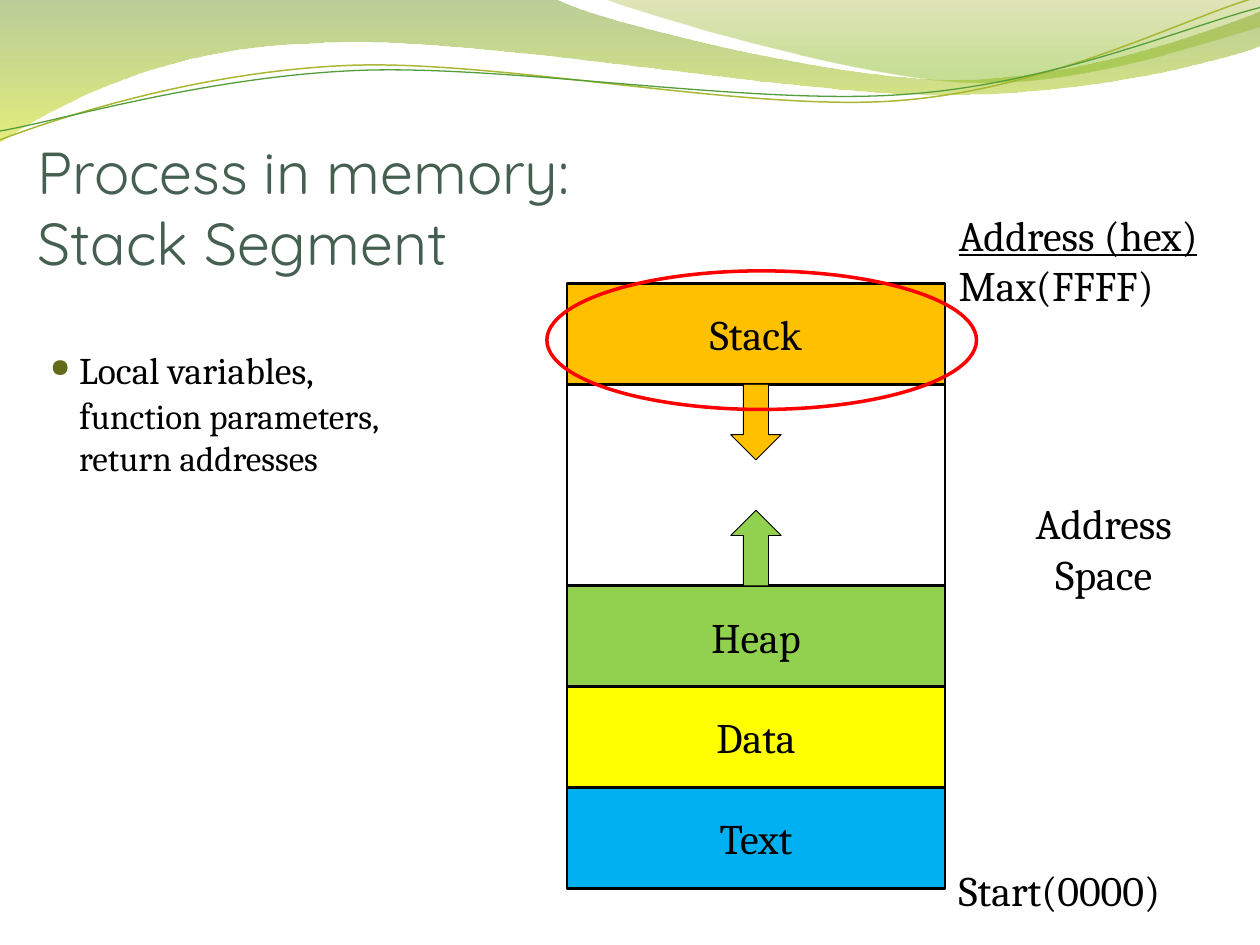
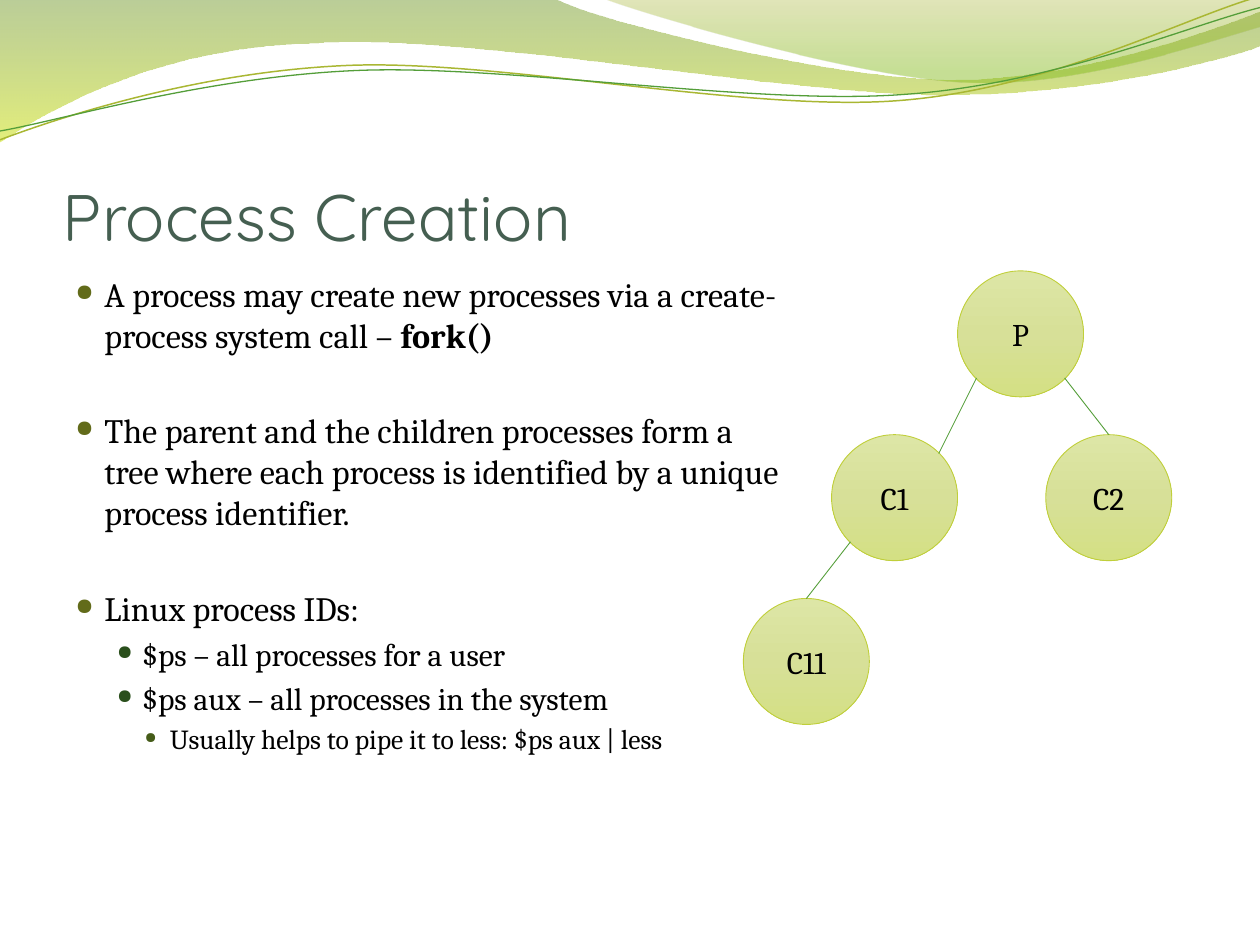
from dataclasses import dataclass, field
from typing import NamedTuple

from lxml import etree
from pptx import Presentation, util as u
from pptx.dml.color import RGBColor
from pptx.enum import shapes, text
from pptx.oxml.ns import qn

COLORS = {
    "title": "455F51", "text": "000000", "ring": "FF0000",
    "stack": "FFC000", "heap": "92D050", "data": "FFFF00", "code": "00B0F0",
    "olive_line": "A9B733", "green_line": "549E39", "node_line": "C0CF3A",
    "wave_top": "69921C", "wave_bottom": "CCE10F",
    "corner_top": "9BAA1A", "corner_bottom": "81BA16",
    "node_top": "DDE6A6", "node_mid": "D7E098", "node_bottom": "D4E084",
    "bullet_0": "626B1A", "bullet_1": "2A4F1C", "bullet_2": "455C19",
}
BODY_FONT, TITLE_FONT = "Cambria", "Quicksand"
MSO = shapes.MSO_SHAPE
CENTER = text.PP_ALIGN.CENTER
MIDDLE = text.MSO_ANCHOR.MIDDLE


class Stop(NamedTuple):
    position: int
    color: str
    opacity: int = 100


class Level(NamedTuple):
    """Bullet style of one outline level."""
    margin: float
    hanging: float
    bullet_size: int


class Box(NamedTuple):
    x: float
    y: float
    w: float
    h: float

    def emu(self) -> list[int]:
        return [u.Inches(v) for v in self]


class Run(NamedTuple):
    text: str
    size: float
    bold: bool = False
    underline: bool = False
    name: str = BODY_FONT
    color: str = "text"


@dataclass
class Para:
    runs: list[Run]
    level: int | None = None
    format: dict = field(default_factory=dict)


@dataclass
class Wave:
    """Start point, then 2-value line ends and 6-value Bézier segments."""
    segments: list[tuple[float, ...]]
    stops: list[Stop] = field(default_factory=list)
    line: str | None = None
    width: float = 0


class Node(NamedTuple):
    label: str
    x: float
    y: float


LEVELS = [Level(0.23, 0.23, 68), Level(0.53, 0.2, 64), Level(0.75, 0.2, 56)]
NODE_FILL = [Stop(0, "node_top"), Stop(50, "node_mid"), Stop(100, "node_bottom")]

WAVES = [
    Wave([(0, 0), (4.4, -0.01), (4.75, 0.17, 6.63, 0.63, 7.58, 0.63),
          (8.53, 0.63, 9.58, 0.26, 10, 0.09), (10.01, 0.36),
          (9.83, 0.44, 8.69, 0.76, 7.46, 0.75),
          (6.22, 0.75, 3.81, 0.28, 2.57, 0.34),
          (1.29, 0.36, 0.46, 0.83, -0.01, 1.13)],
         [Stop(0, "wave_top", 45), Stop(100, "wave_bottom", 55)]),
    Wave([(4.79, -0.01), (5.09, 0.11, 6.82, 0.62, 7.68, 0.65),
          (8.55, 0.69, 9.61, 0.32, 10, 0.21), (10, 0)],
         [Stop(0, "corner_top", 30), Stop(80, "corner_bottom", 45)]),
    Wave([(0, 1.11), (0.48, 0.93, 1.57, 0.57, 2.76, 0.52),
          (3.95, 0.47, 5.92, 0.89, 7.12, 0.8),
          (8.33, 0.71, 9.38, 0.15, 9.97, -0.02)],
         line="olive_line", width=0.85),
    Wave([(0, 1.04), (0.47, 0.96, 1.63, 0.61, 2.83, 0.56),
          (4.02, 0.51, 5.97, 0.84, 7.17, 0.75),
          (8.36, 0.67, 9.41, 0.21, 10, 0.06)],
         line="green_line", width=0.75),
]


def rgb(color: str) -> RGBColor:
    return RGBColor.from_string(COLORS[color])


def set_gradient(sp, stops: list[Stop]) -> None:
    """Fill a shape from top to bottom with the given stops."""
    sp.fill.gradient()
    sp.fill.gradient_angle = 270
    gs_list = sp.element.find(".//" + qn("a:gsLst"))
    gs_list.clear()
    for stop in stops:
        gs = etree.SubElement(gs_list, qn("a:gs"), pos=str(stop.position * 1000))
        clr = etree.SubElement(gs, qn("a:srgbClr"), val=COLORS[stop.color])
        if stop.opacity < 100:
            etree.SubElement(clr, qn("a:alpha"), val=str(stop.opacity * 1000))


def set_style(sp, fill: str | list[Stop] | None, line: str | None,
              width: float = 0) -> None:
    sp.shadow.inherit = False
    if isinstance(fill, str):
        sp.fill.solid()
        sp.fill.fore_color.rgb = rgb(fill)
    elif fill:
        set_gradient(sp, fill)
    else:
        sp.fill.background()
    if line:
        sp.line.color.rgb = rgb(line)
        sp.line.width = u.Pt(width)
    else:
        sp.line.fill.background()


def add_wave(slide, wave: Wave) -> None:
    """Draw all points as line ends, then join each three of a curve into a Bézier."""
    points = [(u.Inches(x), u.Inches(y)) for seg in wave.segments
              for x, y in zip(seg[::2], seg[1::2])]
    builder = slide.shapes.build_freeform(*points[0])
    builder.add_line_segments(points[1:], close=bool(wave.stops))
    sp = builder.convert_to_shape()
    lines = iter(sp.element.findall(".//" + qn("a:lnTo")))
    for seg in wave.segments[1:]:
        first = next(lines)
        if len(seg) == 6:
            first.tag = qn("a:cubicBezTo")
            for _ in range(2):
                extra = next(lines)
                first.append(extra[0])
                extra.getparent().remove(extra)
    set_style(sp, wave.stops, wave.line, wave.width)


def set_bullet(p, level: int) -> None:
    style = LEVELS[level]
    p.level = level
    ppr = p._p.get_or_add_pPr()
    ppr.set("marL", str(u.Inches(style.margin)))
    ppr.set("indent", str(-u.Inches(style.hanging)))
    clr = etree.SubElement(ppr, qn("a:buClr"))
    etree.SubElement(clr, qn("a:srgbClr"), val=COLORS[f"bullet_{level}"])
    etree.SubElement(ppr, qn("a:buSzPct"), val=str(style.bullet_size * 1000))
    etree.SubElement(ppr, qn("a:buChar"), char="●")


def write(tf, paras: list[Para], **frame_format) -> None:
    """Set frame attributes, then fill the frame with paragraphs."""
    for key, value in frame_format.items():
        setattr(tf, key, value)
    for i, para in enumerate(paras):
        p = tf.paragraphs[0] if i == 0 else tf.add_paragraph()
        for key, value in para.format.items():
            setattr(p, key, value)
        if para.level is not None:
            set_bullet(p, para.level)
        for run in para.runs:
            for n, line in enumerate(run.text.split("\n")):
                if n:
                    p.add_line_break()
                r = p.add_run()
                r.text = line
                font = {"name": run.name, "size": u.Pt(run.size),
                        "bold": run.bold, "underline": run.underline}
                for key, value in font.items():
                    setattr(r.font, key, value)
                r.font.color.rgb = rgb(run.color)


def add_text(slide, box: Box, paras: list[Para], **frame_format) -> None:
    tf = slide.shapes.add_textbox(*box.emu()).text_frame
    write(tf, paras, **{"word_wrap": True, **frame_format})


def add_shape(slide, kind, box: Box, fill: str | list[Stop] | None, line: str,
              width: float, label: str = "", size: float = 24) -> None:
    sp = slide.shapes.add_shape(kind, *box.emu())
    set_style(sp, fill, line, width)
    if label:
        write(sp.text_frame, [Para([Run(label, size)], format={"alignment": CENTER})],
              vertical_anchor=MIDDLE, word_wrap=False)


def add_edge(slide, *ends: float) -> None:
    line = slide.shapes.add_connector(shapes.MSO_CONNECTOR.STRAIGHT,
                                      *(u.Inches(v) for v in ends))
    line.line.color.rgb = rgb("green_line")
    line.line.width = u.Pt(0.5)
    etree.SubElement(line.element.spPr, qn("a:effectLst"))


def bullet(level: int, *runs: Run, gap: float = 0) -> Para:
    """Bulleted paragraph, a fifth of its text size below the one before, plus a gap."""
    before = u.Pt(0.2 * runs[0].size + gap)
    return Para(list(runs), level, {"space_before": before})


def new_slide(prs, title: str, x: float, y: float, size: float):
    """Add a slide with the wave header and its title."""
    slide = prs.slides.add_slide(prs.slide_layouts[6])
    for wave in WAVES:
        add_wave(slide, wave)
    run = Run(title, size, name=TITLE_FONT, color="title")
    add_text(slide, Box(x, y, 9, 1.25), [Para([run])],
             vertical_anchor=text.MSO_ANCHOR.BOTTOM, margin_left=0,
             margin_top=u.Inches(0.05), margin_right=0, margin_bottom=0)
    return slide


def build_stack_segment(prs) -> None:
    slide = new_slide(prs, "Process in memory: \nStack Segment", 0.3, 0.95, 33.75)
    add_text(slide, Box(0.3, 2.7, 3, 5.85), [
        bullet(0, Run("Local variables, f", 21.5),
               Run("unction parameters, return addresses", 20))])

    left, top, width, row = 4.5, 2.25, 3, 0.8
    segments = [("Stack", "stack", 1), ("", None, 2), ("Heap", "heap", 1),
                ("Data", "data", 1), ("Text", "code", 1)]
    y = top
    for label, fill, rows in segments:
        add_shape(slide, MSO.RECTANGLE, Box(left, y, width, rows * row),
                  fill, "text", 1.5, label)
        y += rows * row

    add_text(slide, Box(7.51, 1.61, 2.49, 3.74), [
        Para([Run("Address (hex)", 24, underline=True)]),
        Para([Run("Max(FFFF)", 24)]),
        Para([Run("Start(0000)", 24)], format={"space_before": u.Pt(317)})])
    add_text(slide, Box(8.11, 3.95, 1.3, 0.8),
             [Para([Run(word, 24)], format={"alignment": CENTER})
              for word in ("Address ", "Space")],
             vertical_anchor=MIDDLE, word_wrap=False,
             auto_size=text.MSO_AUTO_SIZE.SHAPE_TO_FIT_TEXT)

    for kind, arrow_y, fill in ((MSO.UP_ARROW, 4.05, "heap"),
                                (MSO.DOWN_ARROW, 3.05, "stack")):
        add_shape(slide, kind, Box(5.8, arrow_y, 0.4, 0.6), fill, "text", 0.5)
    add_shape(slide, MSO.OVAL, Box(4.34, 2.15, 3.41, 1.1), None, "ring", 2)


def build_process_creation(prs) -> None:
    slide = new_slide(prs, "Process Creation", 0.5, 0.77, 37.5)
    main_size, sub_size, gap = 19.5, 18, 27.3
    add_text(slide, Box(0.5, 2.12, 5.8, 4.8), [
        bullet(0, Run("A process may create new processes via a create-process "
                      "system call – ", main_size), Run("fork()", main_size, bold=True)),
        bullet(0, Run("The parent and the children processes form a tree where each "
                      "process is identified by a unique process identifier.", main_size),
               gap=gap),
        bullet(0, Run("Linux process IDs:", main_size), gap=gap),
        bullet(1, Run("$ps – all processes for a user", sub_size)),
        bullet(1, Run("$ps aux – all processes in the system", sub_size)),
        bullet(2, Run("Usually helps to pipe it to less: $ps aux | less", 15.75))])

    for node in (Node("P", 7.6, 2.15), Node("C1", 6.6, 3.45),
                 Node("C2", 8.3, 3.45), Node("C11", 5.9, 4.75)):
        add_shape(slide, MSO.OVAL, Box(node.x, node.y, 1, 1), NODE_FILL,
                  "node_line", 0.5, node.label, 18)
    for ends in ((7.75, 3, 7.45, 3.6), (8.45, 3, 8.8, 3.45), (6.4, 4.75, 6.75, 4.3)):
        add_edge(slide, *ends)


def main() -> None:
    prs = Presentation()
    prs.slide_width, prs.slide_height = u.Inches(10), u.Inches(7.5)
    build_stack_segment(prs)
    build_process_creation(prs)
    prs.save("out.pptx")


if __name__ == "__main__":
    main()
